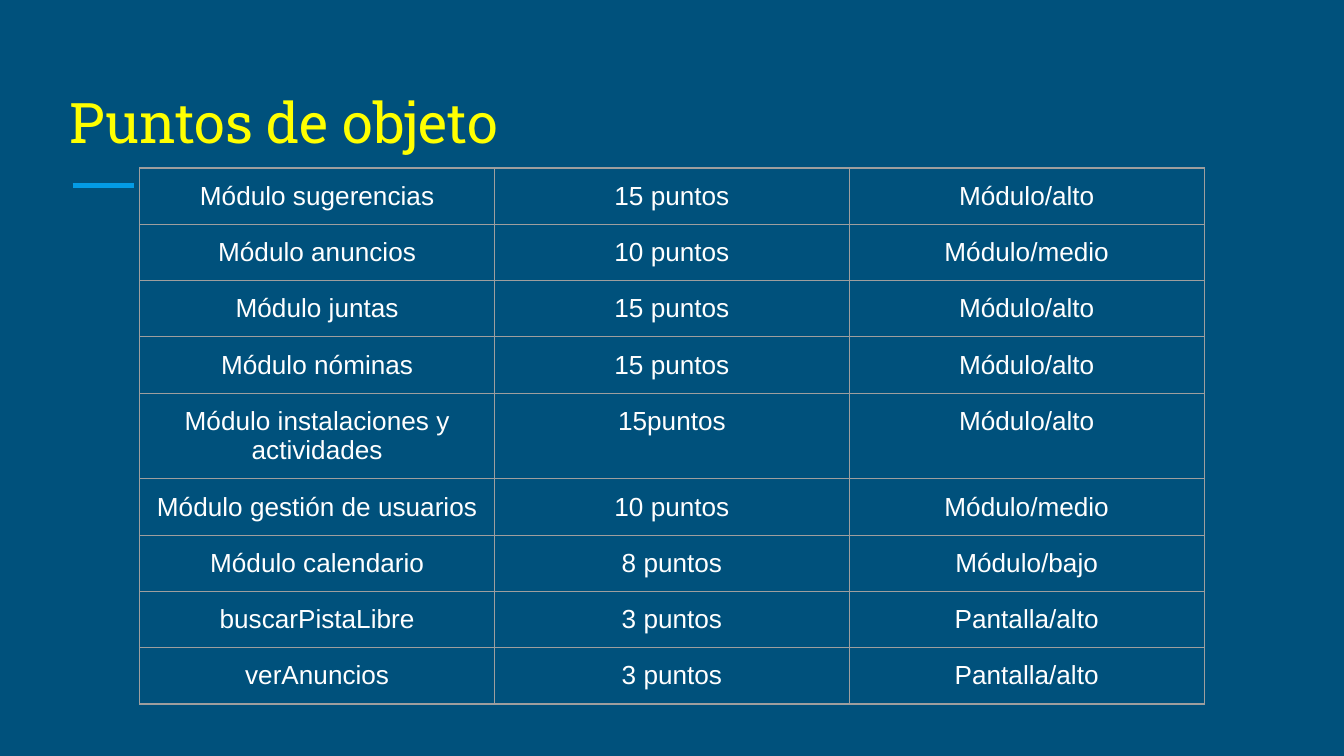
import dataclasses
import typing

import lxml.etree
import pptx
import pptx.dml.color
import pptx.enum.shapes
import pptx.enum.text
import pptx.oxml.ns
import pptx.util

Inches = pptx.util.Inches
Pt = pptx.util.Pt
Color = pptx.dml.color.RGBColor.from_string
qualified = pptx.oxml.ns.qn


@dataclasses.dataclass(frozen=True)
class Theme:
    """Colours, fonts and type sizes of the slide."""
    background: str = "00517C"
    accent: str = "039BE5"
    title: str = "FFFF00"
    text: str = "FFFFFF"
    border: str = "9E9E9E"
    title_font: str = "Roboto Slab"
    body_font: str = "Arial"
    title_size: int = 30
    body_size: int = 14


class ObjectPoints(typing.NamedTuple):
    """One table row: an object, its points, its complexity and the least height."""
    name: str
    points: str
    complexity: str
    height: float = 0.24


THEME = Theme()
SLIDE_WIDTH = 10
COLUMN_WIDTH = 2.64
ROWS = [
    ObjectPoints("Módulo sugerencias", "15 puntos", "Módulo/alto"),
    ObjectPoints("Módulo anuncios", "10 puntos", "Módulo/medio"),
    ObjectPoints("Módulo juntas", "15 puntos", "Módulo/alto"),
    ObjectPoints("Módulo nóminas", "15 puntos", "Módulo/alto"),
    ObjectPoints("Módulo instalaciones y actividades", "15puntos", "Módulo/alto", 0.37),
    ObjectPoints("Módulo gestión de usuarios", "10 puntos", "Módulo/medio"),
    ObjectPoints("Módulo calendario", "8 puntos", "Módulo/bajo"),
    ObjectPoints("buscarPistaLibre", "3 puntos", "Pantalla/alto"),
    ObjectPoints("verAnuncios", "3 puntos", "Pantalla/alto"),
]


def style_paragraph(paragraph, font: str, size: int, color: str, alignment) -> None:
    """Set the font and alignment of a paragraph."""
    paragraph.alignment = alignment
    paragraph.font.name = font
    paragraph.font.size = Pt(size)
    paragraph.font.color.rgb = Color(color)


def set_margins(target) -> None:
    """Give a cell or text frame equal inner margins."""
    for side in ("left", "right", "top", "bottom"):
        setattr(target, f"margin_{side}", Inches(0.1))


def add_title(slide, text: str) -> None:
    """Place and format the title placeholder."""
    title = slide.shapes.title
    title.left, title.top = Inches(0.42), Inches(0.5)
    title.width, title.height = Inches(9.15), Inches(0.75)
    frame = title.text_frame
    frame.text = text
    frame.word_wrap = True
    frame.auto_size = pptx.enum.text.MSO_AUTO_SIZE.NONE
    frame.vertical_anchor = pptx.enum.text.MSO_ANCHOR.BOTTOM
    set_margins(frame)
    style_paragraph(frame.paragraphs[0], THEME.title_font, THEME.title_size,
                    THEME.title, pptx.enum.text.PP_ALIGN.LEFT)


def add_accent_line(slide) -> None:
    """Draw the short line below the title."""
    line = slide.shapes.add_connector(
        pptx.enum.shapes.MSO_CONNECTOR.STRAIGHT,
        Inches(0.54), Inches(1.38), Inches(1), Inches(1.38))
    line.line.color.rgb = Color(THEME.accent)
    line.line.width = Pt(3)
    properties = line._element.find(qualified("p:spPr"))
    lxml.etree.SubElement(properties, qualified("a:effectLst"))


def add_borders(cell) -> None:
    """Draw a thin line on all four sides of a cell."""
    properties = cell._tc.get_or_add_tcPr()
    for side in ("a:lnL", "a:lnR", "a:lnT", "a:lnB"):
        border = lxml.etree.SubElement(properties, qualified(side), w=str(Pt(0.75)))
        fill = lxml.etree.SubElement(border, qualified("a:solidFill"))
        lxml.etree.SubElement(fill, qualified("a:srgbClr"), val=THEME.border)


def fill_cell(cell, text: str) -> None:
    """Write and format one table cell."""
    cell.text = text
    set_margins(cell)
    style_paragraph(cell.text_frame.paragraphs[0], THEME.body_font, THEME.body_size,
                    THEME.text, pptx.enum.text.PP_ALIGN.CENTER)
    add_borders(cell)
    cell.fill.background()


def add_points_table(slide, rows: list[ObjectPoints]) -> None:
    """Add the table of object points; its rows grow to fit their text."""
    frame = slide.shapes.add_table(
        len(rows), 3, Inches(1.04), Inches(1.25),
        Inches(3 * COLUMN_WIDTH), Inches(sum(row.height for row in rows)))
    table = frame.table
    table.first_row = False
    table.horz_banding = False
    for column in table.columns:
        column.width = Inches(COLUMN_WIDTH)
    for row_index, row in enumerate(rows):
        table.rows[row_index].height = Inches(row.height)
        for column_index, text in enumerate((row.name, row.points, row.complexity)):
            fill_cell(table.cell(row_index, column_index), text)


def main() -> None:
    """Build and save the presentation."""
    presentation = pptx.Presentation()
    presentation.slide_width = Inches(SLIDE_WIDTH)
    presentation.slide_height = Inches(SLIDE_WIDTH * 9 / 16)
    slide = presentation.slides.add_slide(presentation.slide_layouts[5])
    slide.background.fill.solid()
    slide.background.fill.fore_color.rgb = Color(THEME.background)
    add_accent_line(slide)
    add_title(slide, "Puntos de objeto")
    add_points_table(slide, ROWS)
    presentation.save("out.pptx")


main()
